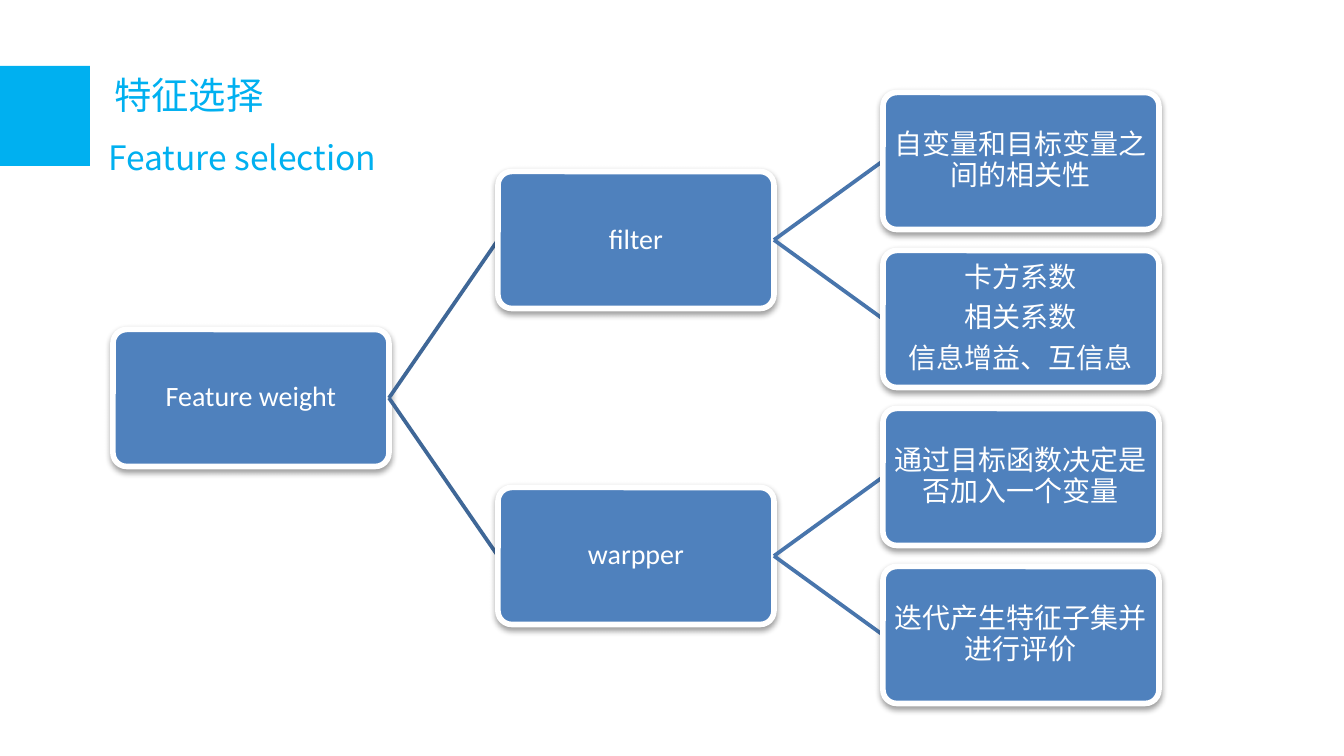
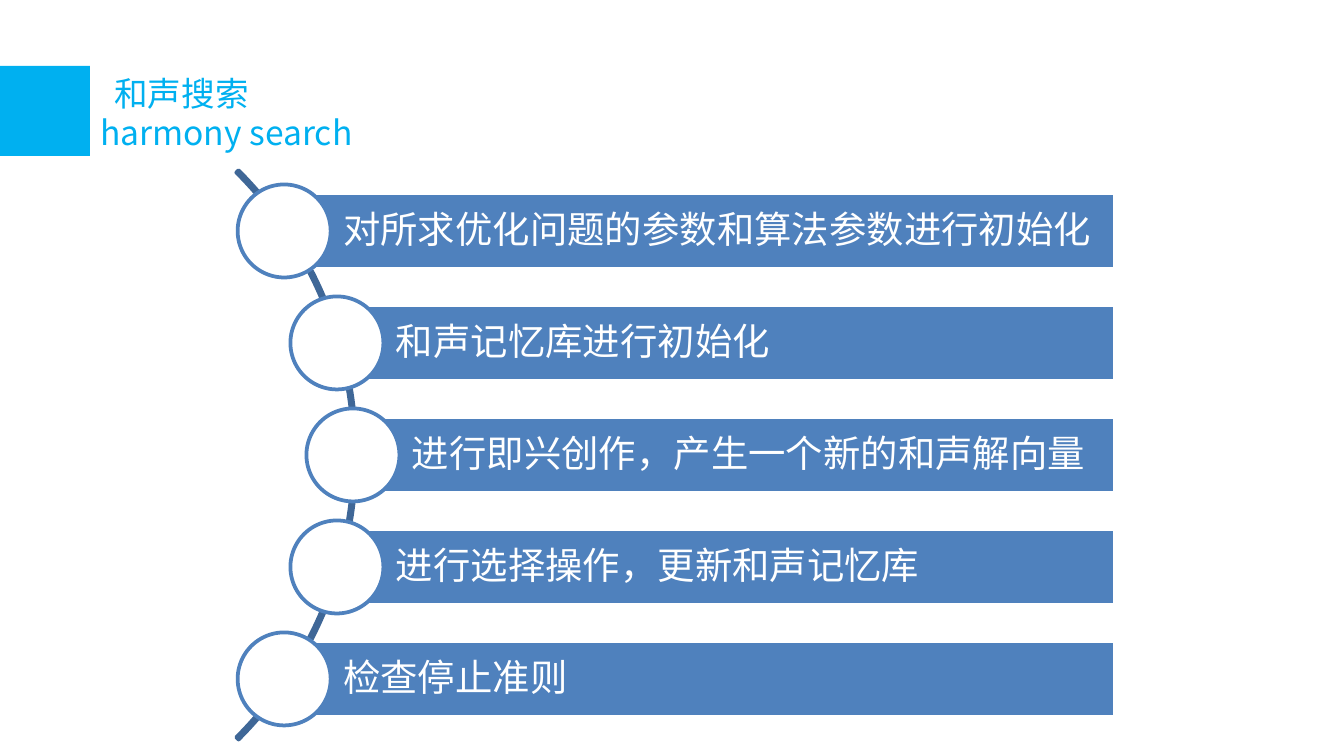
import math

import lxml.etree
import pptx
import pptx.dml.color
import pptx.enum.shapes
import pptx.enum.text
import pptx.oxml.ns
import pptx.util

PX = 914400 / 134.4
SHAPE = pptx.enum.shapes.MSO_SHAPE
ALIGN = pptx.enum.text.PP_ALIGN
CYAN, BLUE, WHITE = "00B0F0", "4F81BD", "FFFFFF"
NAVY, STEEL = "3F6797", "4875AC"
LATIN, CJK = "Calibri", "Noto Sans CJK SC"

NODE_W, NODE_H = 276, 137
NODE_LEFT, LEVEL_STEP = 113, 385
LEAF_MIDDLE, LEAF_STEP = 161, 158
LINK_COLORS = [NAVY, STEEL]
TREE = ("Feature weight", [
    ("filter", [
        ("自变量和目标变量之间的相关性", []),
        ("卡方系数\n相关系数\n信息增益、互信息", []),
    ]),
    ("warpper", [
        ("通过目标函数决定是否加入一个变量", []),
        ("迭代产生特征子集并进行评价", []),
    ]),
])

ARC_X, ARC_Y, ARC_SIZE, ORBIT = -46, 455, 805, 399
STEP_GAP, BAR_RIGHT, BAR_H, DOT = 112, 1115, 75, 93
STEPS = [
    "对所求优化问题的参数和算法参数进行初始化",
    "和声记忆库进行初始化",
    "进行即兴创作，产生一个新的和声解向量",
    "进行选择操作，更新和声记忆库",
    "检查停止准则",
]


def px(n):
    """Turn pixels into EMU."""
    return pptx.util.Emu(round(n * PX))


def rgb(color):
    """Turn a hex string into a colour."""
    return pptx.dml.color.RGBColor.from_string(color)


def add_xml(parent, tag, **attrs):
    """Append a DrawingML element and return it."""
    return lxml.etree.SubElement(parent, pptx.oxml.ns.qn(tag), attrs)


def add_shape(s, kind, x, y, w, h, fill=None, line=None, weight=2):
    """Add a flat preset shape."""
    sp = s.shapes.add_shape(kind, px(x), px(y), px(w), px(h))
    sp.shadow.inherit = False
    if fill:
        sp.fill.solid()
        sp.fill.fore_color.rgb = rgb(fill)
    else:
        sp.fill.background()
    if line:
        sp.line.color.rgb = rgb(line)
        sp.line.width = pptx.util.Pt(weight)
    else:
        sp.line.fill.background()
    return sp


def format_text(tf, size, color, font, align=ALIGN.LEFT):
    """Give every run of a text frame one style."""
    tf.word_wrap = True
    for p in tf.paragraphs:
        p.alignment = align
        for r in p.runs:
            r.font.size = pptx.util.Pt(size)
            r.font.name = font
            r.font.color.rgb = rgb(color)
            add_xml(r.font._element, "a:ea", typeface=CJK)


def fill_label(sp, text, size, align, left, margin):
    """Write white, vertically centred text inside a shape."""
    tf = sp.text_frame
    tf.text = text
    tf.vertical_anchor = pptx.enum.text.MSO_ANCHOR.MIDDLE
    tf.margin_left = px(left)
    tf.margin_right = tf.margin_top = tf.margin_bottom = px(margin)
    format_text(tf, size, WHITE, LATIN, align)
    for p in tf.paragraphs:
        p.line_spacing = 0.9
        p.space_after = pptx.util.Pt(size * 0.35)


def add_title(s, text, x, y, w, h, size):
    """Add one line of the slide title."""
    tf = s.shapes.add_textbox(px(x), px(y), px(w), px(h)).text_frame
    tf.text = text
    tf.auto_size = pptx.enum.text.MSO_AUTO_SIZE.SHAPE_TO_FIT_TEXT
    format_text(tf, size, CYAN, CJK)


def add_slide(prs, marker_height):
    """Add a blank slide with the cyan marker at its left edge."""
    s = prs.slides.add_slide(prs.slide_layouts[6])
    add_shape(s, SHAPE.RECTANGLE, 0, 66, 90, marker_height, CYAN)
    return s


def add_node(s, text, x, middle):
    """Add a rounded tree box with a soft shadow."""
    sp = add_shape(s, SHAPE.ROUNDED_RECTANGLE, x, middle - NODE_H / 2,
                   NODE_W, NODE_H, BLUE, WHITE, 3)
    sp.adjustments[0] = 0.1
    effects = sp._element.spPr.find(pptx.oxml.ns.qn("a:effectLst"))
    shadow = add_xml(effects, "a:outerShdw", blurRad="40000", dist="20000",
                     dir="5400000", rotWithShape="0")
    add_xml(add_xml(shadow, "a:srgbClr", val="000000"), "a:alpha", val="38000")
    fill_label(sp, text, 15, ALIGN.CENTER, 5, 5)
    return sp


def add_link(s, parent, color):
    """Start a connector at the right side of a tree box."""
    link = s.shapes.add_connector(pptx.enum.shapes.MSO_CONNECTOR.STRAIGHT, 0, 0, 0, 0)
    link.line.color.rgb = rgb(color)
    link.line.width = pptx.util.Pt(2)
    add_xml(link._element.spPr, "a:effectLst")
    link.begin_connect(parent, 3)
    return link


def count_leaves(node):
    """Count the end boxes below a tree node."""
    return sum(map(count_leaves, node[1])) or 1


def draw_tree(s, node, level=0, first_leaf=0):
    """Draw a node centred on its leaves, then its linked children."""
    text, children = node
    middle = LEAF_MIDDLE + LEAF_STEP * (first_leaf + (count_leaves(node) - 1) / 2)
    sp = add_node(s, text, NODE_LEFT + level * LEVEL_STEP, middle)
    for child in children:
        link = add_link(s, sp, LINK_COLORS[level])
        link.end_connect(draw_tree(s, child, level + 1, first_leaf), 1)
        first_leaf += count_leaves(child)
    return sp


def draw_steps(s):
    """Draw bars whose round markers follow an arc."""
    arc = add_shape(s, SHAPE.BLOCK_ARC, ARC_X - ARC_SIZE / 2, ARC_Y - ARC_SIZE / 2,
                    ARC_SIZE, ARC_SIZE, line=NAVY)
    for i, value in enumerate((189, 27, 0.004)):
        arc.adjustments[i] = value
    for i, text in enumerate(STEPS):
        offset = (i - (len(STEPS) - 1) / 2) * STEP_GAP
        x = ARC_X + math.sqrt(ORBIT ** 2 - offset ** 2)
        y = ARC_Y + offset
        bar = add_shape(s, SHAPE.RECTANGLE, x, y - BAR_H / 2, BAR_RIGHT - x, BAR_H,
                        BLUE, WHITE)
        fill_label(bar, text, 20, ALIGN.LEFT, 59, 8)
        add_shape(s, SHAPE.OVAL, x - DOT / 2, y - DOT / 2, DOT, DOT, WHITE, BLUE)


def main():
    """Build the two slides and save them."""
    prs = pptx.Presentation()
    prs.slide_width, prs.slide_height = px(1344), px(756)

    s = add_slide(prs, 100)
    add_title(s, "特征选择", 101, 66, 233, 59, 20)
    add_title(s, "Feature selection", 95, 130, 387, 54, 18)
    draw_tree(s, TREE)

    s = add_slide(prs, 90)
    add_title(s, "和声搜索", 101, 66, 233, 54, 18)
    add_title(s, "harmony search", 87, 105, 286, 54, 18)
    draw_steps(s)

    prs.save("out.pptx")


if __name__ == "__main__":
    main()
